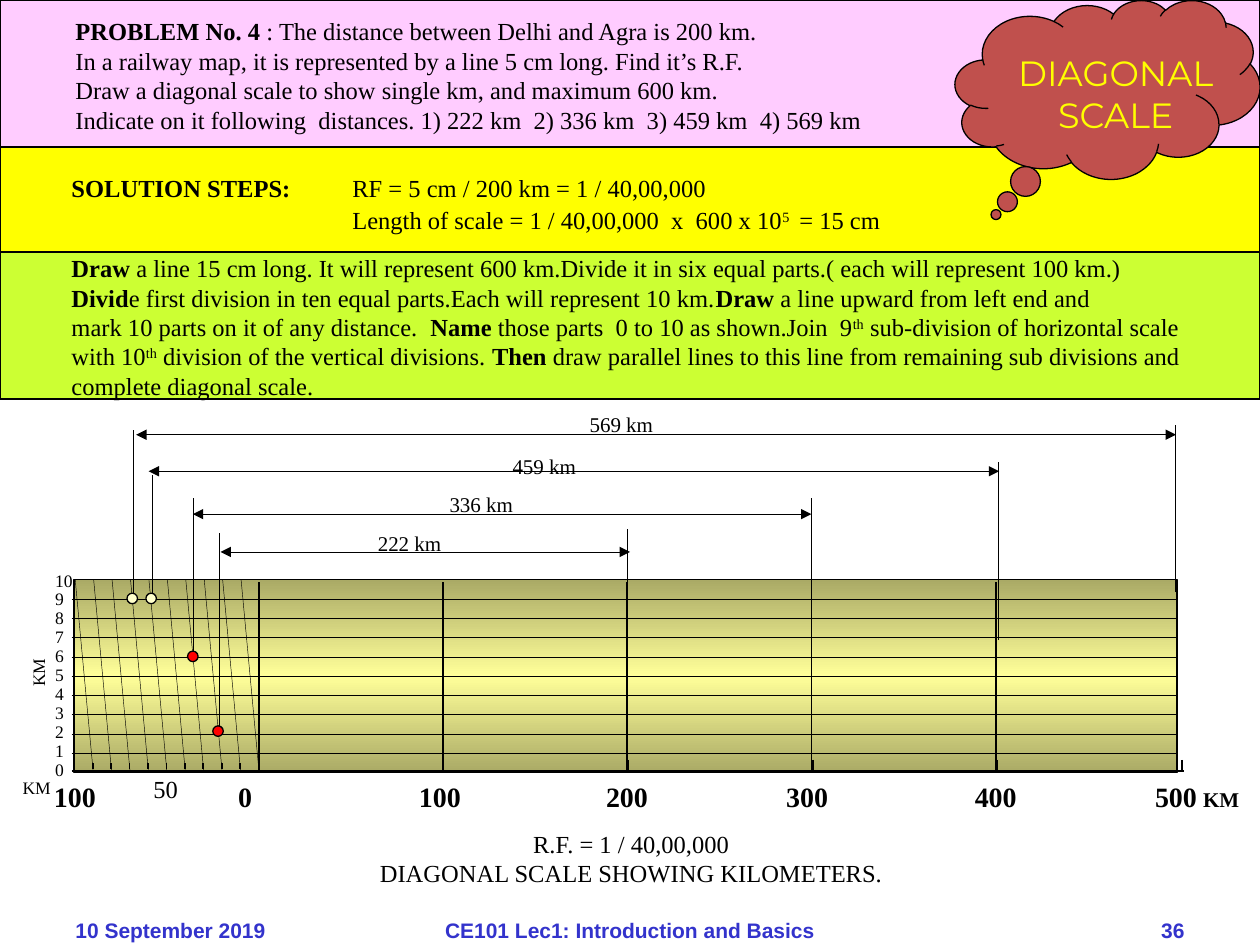
from copy import deepcopy

from pptx import Presentation
from pptx import util as u
from pptx.dml.color import RGBColor
from pptx.enum import shapes, text
from pptx.oxml.ns import qn
from lxml import etree

BLACK = RGBColor(0, 0, 0)
PINK = RGBColor(0xFF, 0xCC, 0xFF)
YELLOW = RGBColor(0xFF, 0xFF, 0)
LIME = RGBColor(0xCC, 0xFF, 0x33)
OLIVE = RGBColor(0xAA, 0xAA, 0x66)
STRAW = RGBColor(0xFF, 0xFF, 0x99)
CREAM = RGBColor(0xFF, 0xFF, 0xCC)
RED = RGBColor(0xFF, 0, 0)
BRICK = RGBColor(0xC0, 0x50, 0x4D)
BLUE = RGBColor(0x33, 0x33, 0xCC)

LEFT, CENTER, RIGHT = text.PP_ALIGN.LEFT, text.PP_ALIGN.CENTER, text.PP_ALIGN.RIGHT
PLAIN, BOLD, SUPER = "plain", "bold", "super"

# Content: a paragraph is a string or a list of (words, style)
PROBLEM = [
    [("PROBLEM No. 4", BOLD), (" : The distance between Delhi and Agra is 200 km.", PLAIN)],
    "In a railway map, it is represented by a line 5 cm long. Find it’s R.F.",
    "Draw a diagonal scale to show single km, and maximum 600 km.",
    "Indicate on it following  distances. 1) 222 km  2) 336 km  3) 459 km  4) 569 km",
]
SOLUTION = [
    [("SOLUTION STEPS:", BOLD), ("\tRF = 5 cm / 200 km = 1 / 40,00,000", PLAIN)],
    [("\tLength of scale = 1 / 40,00,000  x  600 x 10", PLAIN), ("5 ", SUPER),
     (" = 15 cm", PLAIN)],
]
STEPS = [
    [("Draw", BOLD), (" a line 15 cm long. It will represent 600 km.Divide it in six equal "
                      "parts.( each will represent 100 km.)", PLAIN)],
    [("Divid", BOLD), ("e first division in ten equal parts.Each will represent 10 km.", PLAIN),
     ("Draw", BOLD), (" a line upward from left end and", PLAIN)],
    [("mark 10 parts on it of any distance.  ", PLAIN), ("Name", BOLD),
     (" those parts  0 to 10 as shown.Join  9", PLAIN), ("th", SUPER),
     (" sub-division of horizontal scale", PLAIN)],
    [("with 10", PLAIN), ("th", SUPER), (" division of the vertical divisions. ", PLAIN),
     ("Then", BOLD), (" draw parallel lines to this line from remaining sub divisions and", PLAIN)],
    "complete diagonal scale.",
]
CAPTION = ["R.F. = 1 / 40,00,000", "DIAGONAL SCALE SHOWING KILOMETERS."]
BANDS = [(0, 84, PINK), (84, 60, YELLOW), (144, 84, LIME)]  # top, height, fill

# label, label left, label top, arrow left, arrow right, arrow y
DISTANCES = [
    ("569 km", 329.8, 231.8, 77.8, 672, 248.4),
    ("459 km", 285.8, 255.6, 85, 571, 269.3),
    ("336 km", 249.8, 277.2, 110.2, 463.7, 293.8),
    ("222 km", 208.8, 299.5, 126, 360, 315.4),
]
# x, top, bottom
PROJECTIONS = [
    (671.8, 242.6, 338.4), (570.2, 264.2, 365.8), (463.7, 284.4, 362.2), (358.6, 302.4, 362.2),
    (76.3, 245.5, 341.3), (87.1, 271.4, 343.4), (110.2, 284.4, 374.4), (125.3, 304.6, 419),
]
POINTS = [(75.6, 342, CREAM), (110.2, 375.1, RED), (124.6, 417.8, RED), (86.4, 342, CREAM)]
# label, centre
DIVISION_LABELS = [("100", 42.8), ("0", 140), ("100", 251.4), ("200", 358.3),
                   ("300", 461.2), ("400", 569), ("500", 672)]
# text, left, top, width, height, format
UNITS = [
    ("KM", 680.4, 445.7, 35.3, 21.6, {"size": 12, "bold": True}),
    ("KM", 5.8, 440.6, 31, 19.4, {"size": 10}),
    ("KM", 6.5, 374.4, 31, 19.4, {"size": 10, "rotation": 270}),
    ("50", 80.6, 438.5, 28.8, 23.8, {}),
]
FOOTER = [("10 September 2019", 36, 168, LEFT),
          ("CE101 Lec1: Introduction and Basics", 222, 276, CENTER),
          ("36", 516, 168, RIGHT)]

# Scale geometry
SCALE_LEFT, SCALE_TOP, SCALE_WIDTH, SCALE_HEIGHT = 42.5, 331.2, 630, 110.2
SCALE_BOTTOM = SCALE_TOP + SCALE_HEIGHT
DIVISION, PART = 105.3, 10.53
ROW = SCALE_HEIGHT / 10

deck = Presentation()
deck.slide_width, deck.slide_height = u.Pt(720), u.Pt(540)
slide = deck.slides.add_slide(deck.slide_layouts[6])


def pts(*lengths):
    return [u.Pt(length) for length in lengths]


def add_text(paragraphs, left, top, width, height, size=14, font="Times New Roman",
             color=BLACK, bold=False, align=LEFT, spacing=None, tab=None, rotation=0,
             anchor=text.MSO_ANCHOR.TOP):
    box = slide.shapes.add_textbox(*pts(left, top, width, height))
    box.rotation = rotation
    frame = box.text_frame
    frame.word_wrap = False
    frame.vertical_anchor = anchor
    for index, content in enumerate(paragraphs):
        para = frame.paragraphs[0] if index == 0 else frame.add_paragraph()
        para.alignment = align
        para.line_spacing = spacing
        if tab:
            stops = etree.SubElement(para._p.get_or_add_pPr(), qn("a:tabLst"))
            etree.SubElement(stops, qn("a:tab"), pos=str(u.Pt(tab)), algn="l")
        runs = [(content, PLAIN)] if isinstance(content, str) else content
        for words, style in runs:
            run = para.add_run()
            run.text = words
            run.font.color.rgb = color
            look = {"name": font, "size": u.Pt(size), "bold": bold or style == BOLD}
            for key, value in look.items():
                setattr(run.font, key, value)
            if style == SUPER:
                run._r.get_or_add_rPr().set("baseline", "30000")


def add_line(x1, y1, x2, y2, weight=0.25, arrows=False):
    rule = slide.shapes.add_connector(shapes.MSO_CONNECTOR.STRAIGHT, *pts(x1, y1, x2, y2))
    rule.line.color.rgb = BLACK
    rule.line.width = u.Pt(weight)
    props = rule._element.spPr
    if arrows:
        for end in ("a:headEnd", "a:tailEnd"):
            etree.SubElement(props.find(qn("a:ln")), qn(end), type="triangle")
    etree.SubElement(props, qn("a:effectLst"))


def add_shape(kind, left, top, width, height, fill=None, weight=0.75):
    shape = slide.shapes.add_shape(kind, *pts(left, top, width, height))
    shape.shadow.inherit = False
    shape.line.color.rgb = BLACK
    shape.line.width = u.Pt(weight)
    if fill is not None:
        shape.fill.solid()
        shape.fill.fore_color.rgb = fill
    return shape


# Scale body with a three-stop gradient
body = add_shape(shapes.MSO_SHAPE.RECTANGLE, SCALE_LEFT, SCALE_TOP, SCALE_WIDTH,
                 SCALE_HEIGHT, weight=1)
body.fill.gradient()
body.fill.gradient_angle = 270
stop_list = body._element.spPr.find(".//" + qn("a:gsLst"))
stop_list.insert(1, deepcopy(stop_list[0]))
for stop, (position, color) in zip(body.fill.gradient_stops,
                                   [(0, OLIVE), (0.5, STRAW), (1, OLIVE)]):
    stop.position = position
    stop.color.rgb = color

# Base line, ticks, divisions, rows and diagonals
add_line(41, 440.6, 676.8, 440.6, 1)
for i in range(1, 10):
    x = SCALE_LEFT + i * PART
    add_line(x, 436.3, x, 439.2, 1)
for i in range(7):
    x = SCALE_LEFT + i * (DIVISION + 0.17)
    add_line(x, 434.2, x, 439.9, 1)
for i in range(1, 6):
    x = SCALE_LEFT + i * DIVISION
    add_line(x, 332.6, x, 442, 1)
for i in range(1, 10):
    y = SCALE_TOP + i * ROW
    add_line(41, y, 673.2, y)
for i in range(10):
    x = SCALE_LEFT + 0.5 + i * PART
    add_line(x, SCALE_TOP, x + 10.3, SCALE_BOTTOM)

# Scale labels
add_text(CAPTION, 208.8, 470.2, 303.8, 41, align=CENTER)
for label, center in DIVISION_LABELS:
    add_text([label], center - 20, 442, 40, 26.6, size=16, bold=True, align=CENTER)
add_text([str(n) for n in range(10, -1, -1)], 24.5, 323.3, 24.5, 125.3, size=10, spacing=0.9)
for label, left, top, width, height, look in UNITS:
    add_text([label], left, top, width, height, **look)

# Distances marked on the scale
for x, top, bottom in PROJECTIONS:
    add_line(x, bottom, x, top)
for label, left, top, start, end, y in DISTANCES:
    add_line(start, y, end, y, arrows=True)
    add_text([label], left, top, 51, 21.6, size=12)

# Text bands
for top, height, fill in BANDS:
    add_shape(shapes.MSO_SHAPE.RECTANGLE, 0, top, 720, height, fill)
add_text(PROBLEM, 36, 5.8, 467.3, 74.9)
add_text(SOLUTION, 33.8, 93.6, 499, 44.6, spacing=1.1, tab=160.5)
add_text(STEPS, 33.8, 141.1, 657.4, 92.2)

# Title cloud
cloud = add_shape(shapes.MSO_SHAPE.CLOUD_CALLOUT, 545.8, 0, 174.2, 102.2, BRICK)
cloud.adjustments[0], cloud.adjustments[1] = -0.366, 0.7
add_text(["DIAGONAL", "SCALE"], 571.7, 25.9, 131.8, 55.4, size=20, font="Montserrat",
         color=YELLOW, align=CENTER)

# Points read off the scale
for x, y, fill in POINTS:
    add_shape(shapes.MSO_SHAPE.OVAL, x - 3, y - 3, 6, 6, fill)

# Footer
for words, left, width, align in FOOTER:
    add_text([words], left, 522.7, width, 17.3, size=12, font="Arial", color=BLUE, bold=True,
             align=align, anchor=text.MSO_ANCHOR.MIDDLE)

deck.save("out.pptx")
